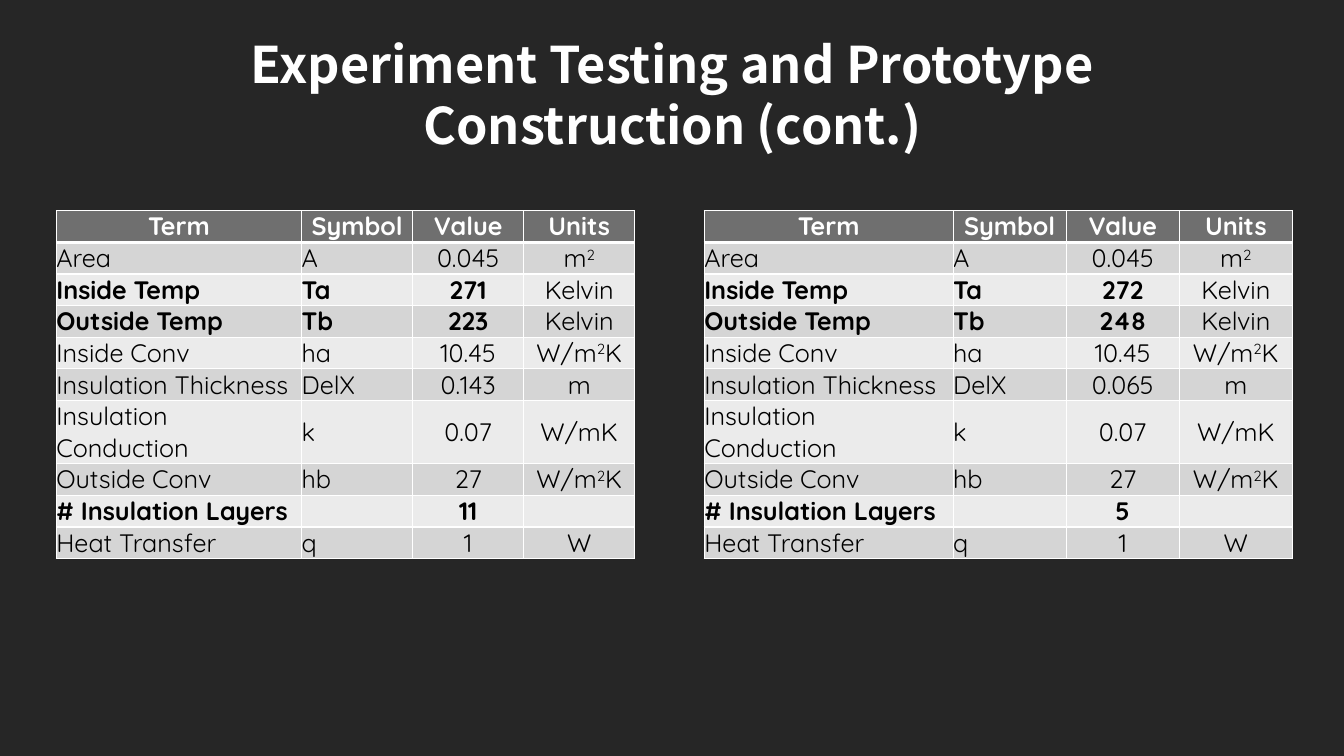
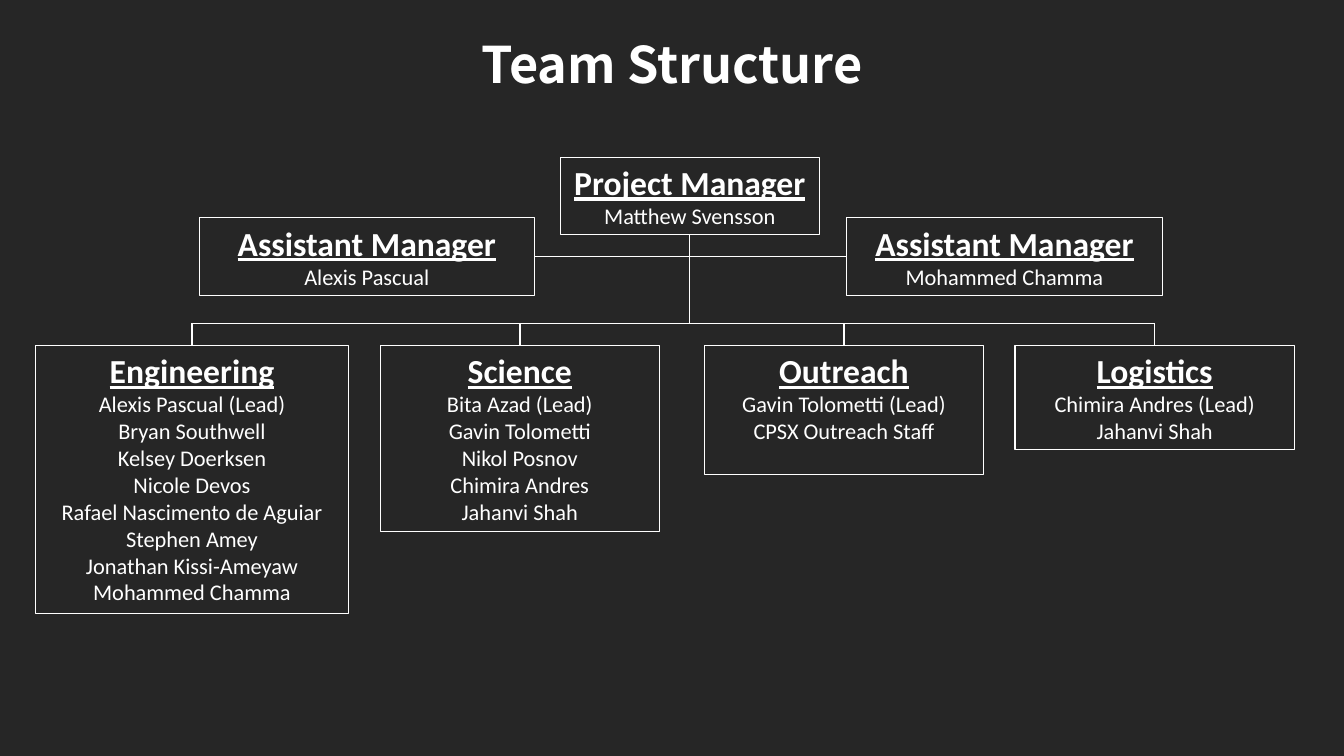
from lxml import etree
from pptx import Presentation
from pptx.dml.color import RGBColor
from pptx.enum import shapes, text
from pptx.oxml import ns
from pptx.util import Cm, Pt

COLORS = {
    "background": "262626", "white": "FFFFFF", "black": "000000",
    "header": "6F6F6F", "odd_row": "D5D5D5", "even_row": "EBEBEB",
}
TITLE_FORMAT = {"size": Pt(36), "name": "Noto Sans CJK TC", "bold": True}
CELL_FORMAT = {"size": Pt(18), "name": "Quicksand"}
ROLE_FORMAT = {"size": Pt(24), "name": "Calibri", "bold": True, "underline": True}
MEMBER_FORMAT = {"size": Pt(16), "name": "Calibri", "bold": False}

# Experiment slide content
EXPERIMENT_TITLE = "Experiment Testing and Prototype Construction (cont.)"
HEADINGS = ["Term", "Symbol", "Value", "Units"]
TERMS = [  # term, symbol, values in the two tests, units
    ("Area", "A", ("0.045", "0.045"), "m²"),
    ("Inside Temp", "Ta", ("271", "272"), "Kelvin"),
    ("Outside Temp", "Tb", ("223", "248"), "Kelvin"),
    ("Inside Conv", "ha", ("10.45", "10.45"), "W/m²K"),
    ("Insulation Thickness", "DelX", ("0.143", "0.065"), "m"),
    ("Insulation Conduction", "k", ("0.07", "0.07"), "W/mK"),
    ("Outside Conv", "hb", ("27", "27"), "W/m²K"),
    ("# Insulation Layers", "", ("11", "5"), ""),
    ("Heat Transfer", "q", ("1", "1"), "W"),
]
KEY_TERMS = {"Inside Temp", "Outside Temp", "# Insulation Layers"}
TABLE_TOP, ROW_HEIGHT = 5.31, 0.76
TABLES = [(1.42, 6.18, 2.8), (17.75, 6.27, 2.85)]  # left, term width, other widths

# Team slide content: role, members, (left, top, width, height)
TEAM_TITLE = "Team Structure"
MANAGER = ("Project Manager", ["Matthew Svensson"], (14.12, 3.96, 6.53, 1.96))
ASSISTANTS = [
    ("Assistant Manager", ["Alexis Pascual"], (5.03, 5.49, 8.43, 1.96)),
    ("Assistant Manager", ["Mohammed Chamma"], (21.34, 5.49, 7.95, 1.96)),
]
TEAM_TOP, BUS_Y = 8.7, 8.15
TEAMS = [
    ("Engineering",
     ["Alexis Pascual (Lead)", "Bryan Southwell", "Kelsey Doerksen", "Nicole Devos",
      "Rafael Nascimento de Aguiar", "Stephen Amey", "Jonathan Kissi-Ameyaw",
      "Mohammed Chamma"],
     (0.89, TEAM_TOP, 7.9, 6.76)),
    ("Science",
     ["Bita Azad (Lead)", "Gavin Tolometti", "Nikol Posnov", "Chimira Andres",
      "Jahanvi Shah"],
     (9.58, TEAM_TOP, 7.04, 4.7)),
    ("Outreach", ["Gavin Tolometti (Lead)", "CPSX Outreach Staff"],
     (17.75, TEAM_TOP, 7.04, 3.25)),
    ("Logistics", ["Chimira Andres (Lead)", "Jahanvi Shah"],
     (25.58, TEAM_TOP, 7.04, 2.64)),
]


def rgb(name):
    return RGBColor.from_string(COLORS[name])


def add_run(paragraph, content, formats, color="white"):
    run = paragraph.add_run()
    run.text = content
    for name, value in formats.items():
        setattr(run.font, name, value)
    run.font.color.rgb = rgb(color)
    return run


def add_titled_slide(presentation, content, height):
    slide = presentation.slides.add_slide(presentation.slide_layouts[5])
    title = slide.shapes.title
    title.left, title.top, title.width, title.height = map(Cm, (3.53, 0.71, 26.82, height))
    frame = title.text_frame
    frame.auto_size = text.MSO_AUTO_SIZE.NONE
    frame.vertical_anchor = text.MSO_ANCHOR.TOP
    paragraph = frame.paragraphs[0]
    paragraph.alignment = text.PP_ALIGN.CENTER
    add_run(paragraph, content, TITLE_FORMAT)
    return slide


# Tables
def set_borders(cell, row):
    widths = {"lnL": 1, "lnR": 1, "lnT": 3 if row == 1 else 1, "lnB": 3 if row == 0 else 1}
    properties = cell._tc.get_or_add_tcPr()
    for tag, width in widths.items():
        line = etree.SubElement(properties, ns.qn(f"a:{tag}"), w=str(Pt(width)))
        fill = etree.SubElement(line, ns.qn("a:solidFill"))
        etree.SubElement(fill, ns.qn("a:srgbClr"), val=COLORS["white"])


def fill_cell(cell, content, row, column, bold):
    set_borders(cell, row)
    cell.fill.solid()
    cell.fill.fore_color.rgb = rgb(
        "header" if row == 0 else "odd_row" if row % 2 else "even_row")
    cell.margin_left = cell.margin_right = cell.margin_top = cell.margin_bottom = 0
    cell.vertical_anchor = text.MSO_ANCHOR.MIDDLE
    paragraph = cell.text_frame.paragraphs[0]
    centered = row == 0 or column >= 2
    paragraph.alignment = text.PP_ALIGN.CENTER if centered else text.PP_ALIGN.LEFT
    base, square, rest = content.partition("²")
    color = "white" if row == 0 else "black"
    for piece in (base, square, rest):
        if piece:
            run = add_run(paragraph, piece.replace("²", "2"),
                          {**CELL_FORMAT, "bold": bold}, color)
            if piece == square:
                run._r.get_or_add_rPr().set("baseline", "30000")


def add_term_table(slide, test, left, term_width, other_width):
    rows = [HEADINGS] + [(term, symbol, values[test], units)
                         for term, symbol, values, units in TERMS]
    widths = [term_width] + [other_width] * 3
    table = slide.shapes.add_table(
        len(rows), len(widths), Cm(left), Cm(TABLE_TOP), Cm(sum(widths)),
        Cm(ROW_HEIGHT * (len(rows) + 1))).table
    table.horz_banding = False
    for column, width in zip(table.columns, widths):
        column.width = Cm(width)
    for row, values in enumerate(rows):
        lines = 2 if values[0] == "Insulation Conduction" else 1
        table.rows[row].height = Cm(ROW_HEIGHT * lines)
        for column, content in enumerate(values):
            bold = row == 0 or (values[0] in KEY_TERMS and column < 3)
            fill_cell(table.cell(row, column), content, row, column, bold)


# Organisation chart
def add_box(slide, role, members, place):
    box = slide.shapes.add_shape(shapes.MSO_SHAPE.RECTANGLE, *map(Cm, place))
    box.shadow.inherit = False
    box.fill.background()
    box.line.color.rgb = rgb("white")
    box.line.width = Pt(0.75)
    frame = box.text_frame
    frame.word_wrap = True
    frame.vertical_anchor = text.MSO_ANCHOR.TOP
    for index, content in enumerate([role] + members):
        paragraph = frame.add_paragraph() if index else frame.paragraphs[0]
        paragraph.alignment = text.PP_ALIGN.CENTER
        add_run(paragraph, content, MEMBER_FORMAT if index else ROLE_FORMAT)
    return box


def add_line(slide, start, end, width):
    line = slide.shapes.add_connector(shapes.MSO_CONNECTOR.STRAIGHT, *start, *end)
    line.line.color.rgb = rgb("white")
    line.line.width = Pt(width)
    etree.SubElement(line._element.spPr, ns.qn("a:effectLst"))
    return line


def center_x(box):
    return box.left + box.width // 2


def build_team_chart(slide):
    manager = add_box(slide, *MANAGER)
    assistants = [add_box(slide, *assistant) for assistant in ASSISTANTS]
    teams = [add_box(slide, *team) for team in TEAMS]
    bus = Cm(BUS_Y)
    add_line(slide, (center_x(teams[0]), bus), (center_x(teams[-1]), bus), 1)
    # Each box hangs from the bus; connection site 0 is its top, 2 its bottom
    for box, site, width in [(manager, 2, 0.75)] + [(team, 0, 1) for team in teams]:
        x = center_x(box)
        add_line(slide, (x, box.top), (x, bus), width).begin_connect(box, site)
    link = add_line(slide, (0, 0), (0, 0), 0.5)
    link.begin_connect(assistants[0], 3)
    link.end_connect(assistants[1], 1)


def main():
    presentation = Presentation()
    presentation.slide_width, presentation.slide_height = Cm(33.87), Cm(19.05)
    background = presentation.slide_master.background.fill
    background.solid()
    background.fore_color.rgb = rgb("background")

    experiment = add_titled_slide(presentation, EXPERIMENT_TITLE, 3.33)
    for test, layout in enumerate(TABLES):
        add_term_table(experiment, test, *layout)

    build_team_chart(add_titled_slide(presentation, TEAM_TITLE, 1.8))
    presentation.save("out.pptx")


if __name__ == "__main__":
    main()
